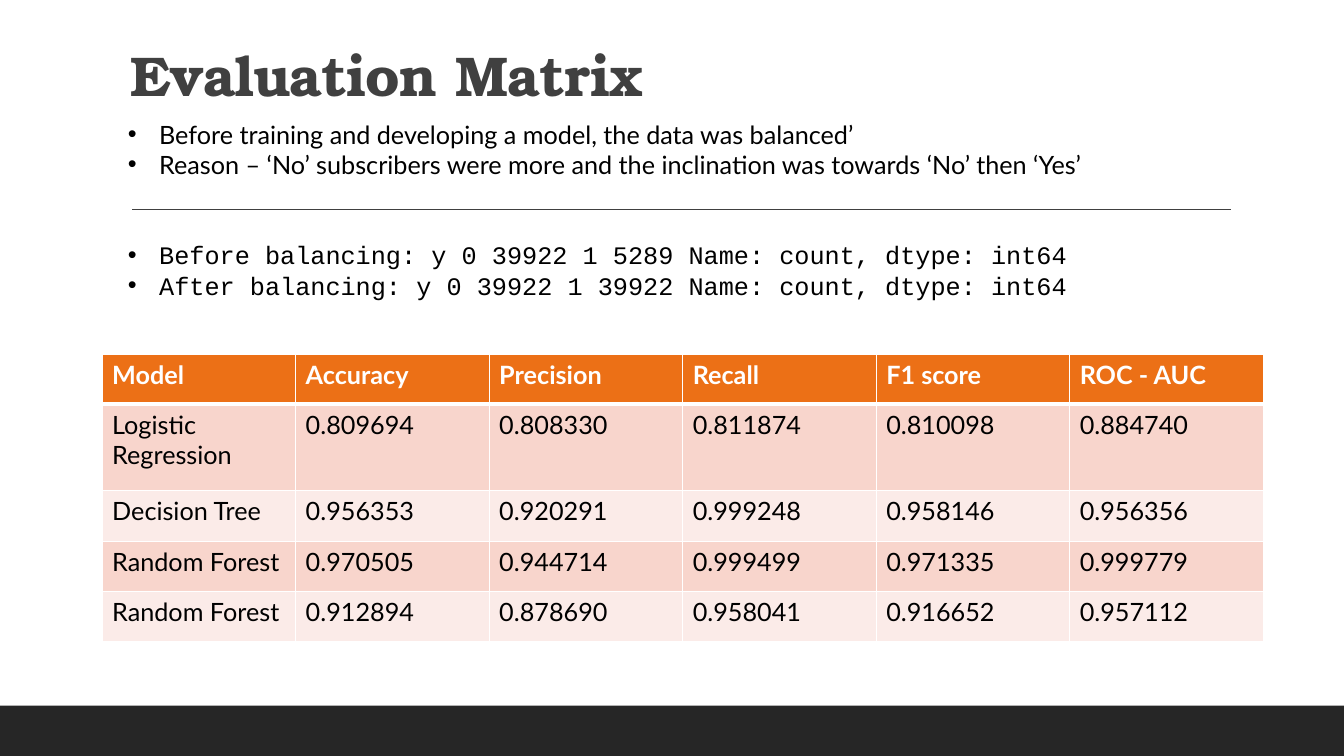
"""Build the evaluation matrix slide."""
from lxml import etree
from pptx import Presentation
from pptx import util as u
from pptx.dml.color import RGBColor
from pptx.enum import shapes, text
from pptx.oxml import ns, parse_xml

WHITE = RGBColor(0xFF, 0xFF, 0xFF)
BLACK = RGBColor(0x00, 0x00, 0x00)
CHARCOAL = RGBColor(0x26, 0x26, 0x26)
GREY = RGBColor(0x40, 0x40, 0x40)
ORANGE = RGBColor(0xEC, 0x70, 0x16)
ROSE = RGBColor(0xF8, 0xD5, 0xCC)
BLUSH = RGBColor(0xFB, 0xEB, 0xE8)

TITLE = {"name": "TeX Gyre Bonum", "size": u.Pt(40), "bold": True}
BODY = {"name": "Lato", "size": u.Pt(18), "bold": False}
CODE = {**BODY, "name": "Courier New"}
HEADER = {**BODY, "bold": True}

BULLETS = [
    ("Before training and developing a model, the data was balanced’", BODY, 0),
    ("Reason – ‘No’ subscribers were more and the inclination was towards "
     "‘No’ then ‘Yes’", BODY, 0),
    ("Before balancing: y 0 39922 1 5289 Name: count, dtype: int64", CODE, 43),
    ("After balancing: y 0 39922 1 39922 Name: count, dtype: int64", CODE, 0),
]
SCORES = [
    ["Model", "Accuracy", "Precision", "Recall", "F1 score", "ROC - AUC"],
    ["Logistic Regression", "0.809694", "0.808330", "0.811874", "0.810098", "0.884740"],
    ["Decision Tree", "0.956353", "0.920291", "0.999248", "0.958146", "0.956356"],
    ["Random Forest", "0.970505", "0.944714", "0.999499", "0.971335", "0.999779"],
    ["Random Forest", "0.912894", "0.878690", "0.958041", "0.916652", "0.957112"],
]
ROW_HEIGHTS = [6.53, 11.47, 6.67, 6.67, 6.67]


class Deck:
    """Slide builder whose lengths are percentages of the slide's size."""

    def __init__(self):
        self.presentation = Presentation()
        self.presentation.slide_width = u.Inches(13.33)
        self.presentation.slide_height = u.Inches(7.5)
        self.slide = self.presentation.slides.add_slide(
            self.presentation.slide_layouts[6])

    def across(self, share):
        return round(self.presentation.slide_width * share / 100)

    def down(self, share):
        return round(self.presentation.slide_height * share / 100)

    def box(self, left, top, width, height):
        return (self.across(left), self.down(top),
                self.across(width), self.down(height))

    def styled_run(self, paragraph, words, style, color):
        run = paragraph.add_run()
        run.text = words
        for name, value in style.items():
            setattr(run.font, name, value)
        run.font.color.rgb = color
        return run

    def band(self, *place):
        shape = self.slide.shapes.add_shape(
            shapes.MSO_SHAPE.RECTANGLE, *self.box(*place))
        shape.shadow.inherit = False
        shape.fill.solid()
        shape.fill.fore_color.rgb = CHARCOAL
        shape.line.fill.background()

    def rule(self, left, right, top):
        connector = self.slide.shapes.add_connector(
            shapes.MSO_CONNECTOR.STRAIGHT, self.across(left), self.down(top),
            self.across(right), self.down(top))
        connector.line.color.rgb = GREY
        connector.line.width = u.Pt(1)
        etree.SubElement(connector._element.spPr, ns.qn("a:effectLst"))

    def text_frame(self, place, anchor):
        frame = self.slide.shapes.add_textbox(*self.box(*place)).text_frame
        frame.word_wrap = True
        frame.vertical_anchor = anchor
        return frame

    def title(self, words, *place):
        frame = self.text_frame(place, text.MSO_ANCHOR.BOTTOM)
        paragraph = frame.paragraphs[0]
        paragraph.line_spacing = 0.9
        run = self.styled_run(paragraph, words, TITLE, GREY)
        run.font._element.set("spc", "-50")

    def bullets(self, items, *place):
        frame = self.text_frame(place, text.MSO_ANCHOR.TOP)
        for index, (words, style, gap) in enumerate(items):
            paragraph = frame.add_paragraph() if index else frame.paragraphs[0]
            paragraph.space_before = u.Pt(gap)
            self.styled_run(paragraph, words, style, BLACK)
            properties = paragraph._p.get_or_add_pPr()
            properties.set("marL", str(u.Inches(0.31)))
            properties.set("indent", str(u.Inches(-0.31)))
            etree.SubElement(properties, ns.qn("a:buFont"), typeface="Arial")
            etree.SubElement(properties, ns.qn("a:buChar"), char="•")

    def borders(self, cell, widths):
        properties = cell._tc.get_or_add_tcPr()
        for side, width in widths.items():
            properties.append(parse_xml(
                f'<a:ln{side} {ns.nsdecls("a")} w="{u.Pt(width)}"><a:solidFill>'
                f'<a:srgbClr val="{WHITE}"/></a:solidFill></a:ln{side}>'))

    def table(self, rows, heights, left, top, width):
        place = self.box(left, top, width, sum(heights))
        table = self.slide.shapes.add_table(len(rows), len(rows[0]), *place).table
        for column in table.columns:
            column.width = self.across(width / len(rows[0]))
        for row, values in enumerate(rows):
            table.rows[row].height = self.down(heights[row])
            style, color, fill = (
                (BODY, BLACK, ROSE if row % 2 else BLUSH) if row
                else (HEADER, WHITE, ORANGE))
            widths = {"L": 1, "R": 1, "T": 3 if row == 1 else 1,
                      "B": 1 if row else 3}
            for column, words in enumerate(values):
                cell = table.cell(row, column)
                self.styled_run(cell.text_frame.paragraphs[0], words, style, color)
                self.borders(cell, widths)
                cell.fill.solid()
                cell.fill.fore_color.rgb = fill


def main():
    deck = Deck()
    deck.band(0, 93.33, 100, 6.67)
    deck.rule(9.83, 91.6, 27.73)
    deck.title("Evaluation Matrix", 9, 4.13, 82.5, 10.93)
    deck.table(SCORES, ROW_HEIGHTS, 7.6, 46.93, 86.4)
    deck.bullets(BULLETS, 8.78, 15.07, 76, 33.6)
    deck.presentation.save("out.pptx")


if __name__ == "__main__":
    main()
